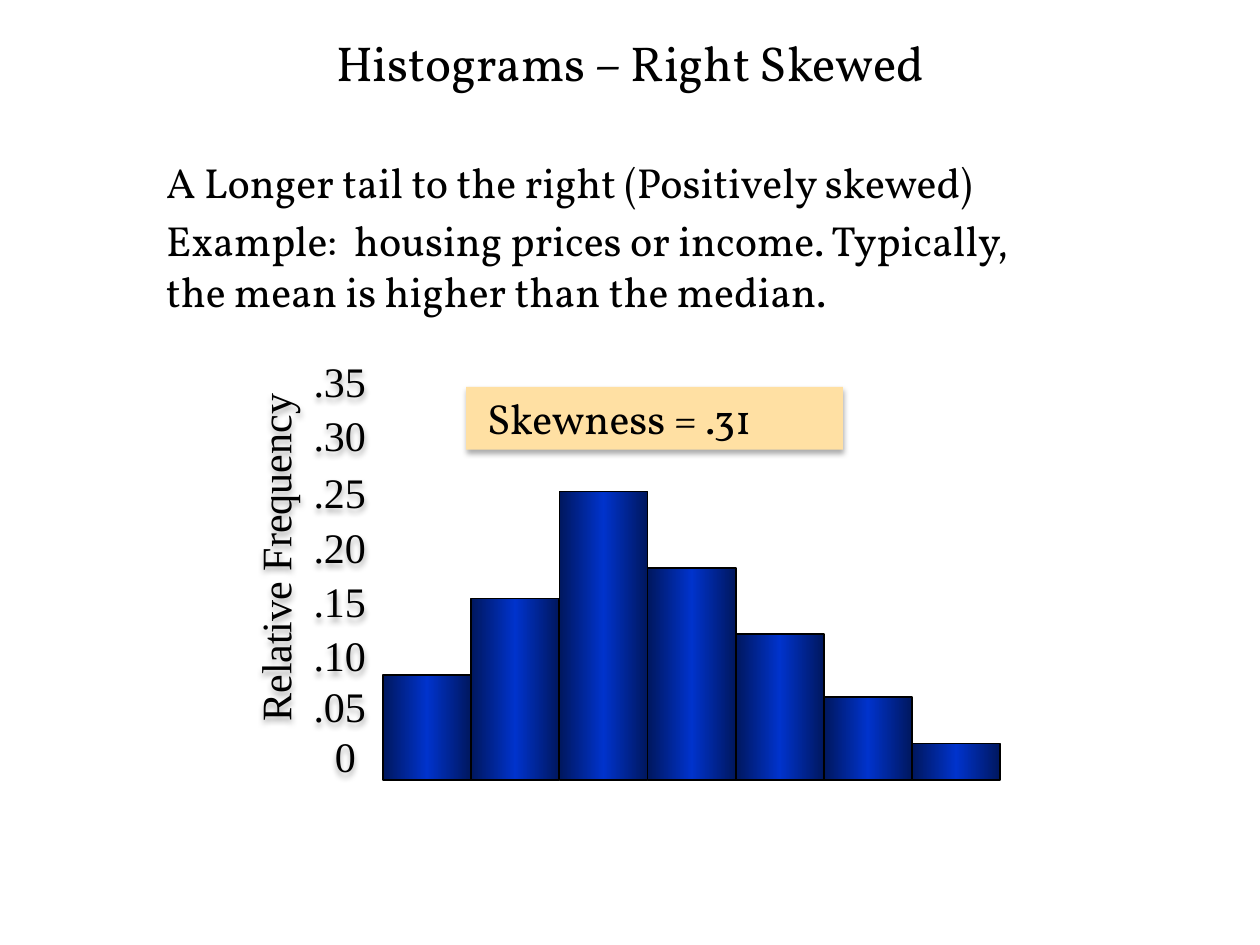
from copy import deepcopy
from lxml import etree
from pptx import Presentation
from pptx.dml.color import RGBColor
from pptx.enum.shapes import MSO_SHAPE
from pptx.enum.text import MSO_ANCHOR, PP_ALIGN
from pptx.oxml.ns import qn
from pptx.util import Inches, Pt

RECT = MSO_SHAPE.RECTANGLE
MID, TOP = MSO_ANCHOR.MIDDLE, MSO_ANCHOR.TOP
LEFT, MIDDLE = PP_ALIGN.LEFT, PP_ALIGN.CENTER
HUES = {"ink": "000000", "edge": "00175E", "core": "0033CC", "note": "FFE0A3"}
SERIF, BOOK = "Times New Roman", "Vollkorn"
BASE, FIRST, STEP = 6.19, 3.04, 0.7
BARS = [0.83, 1.44, 2.29, 1.68, 1.16, 0.66, 0.29]
TICKS = {".35": 2.82, ".30": 3.25, ".25": 3.7, ".20": 4.14,
         ".15": 4.57, ".10": 5, ".05": 5.4}


def hue(name):
    return RGBColor.from_string(HUES[name])


def place(shape, box):
    for key, val in zip(("left", "top", "width", "height"), box):
        setattr(shape, key, Inches(val))


def write(shape, lines, face, size=24, align=LEFT, anchor=MID, wrap=True):
    frame = shape.text_frame
    frame.text = "\n".join(lines)
    for key, val in {"word_wrap": wrap, "vertical_anchor": anchor}.items():
        setattr(frame, key, val)
    for para in frame.paragraphs:
        para.alignment = align
        font = para.runs[0].font
        for key, val in {"name": face, "size": Pt(size)}.items():
            setattr(font, key, val)
        font.color.rgb = hue("ink")


def shade(shape, blur, dist, alpha):
    effects = etree.SubElement(shape._element.spPr, qn("a:effectLst"))
    cast = etree.SubElement(effects, qn("a:outerShdw"), blurRad=str(Pt(blur)),
                            dist=str(Pt(dist)), dir="5400000", rotWithShape="0")
    tint = etree.SubElement(cast, qn("a:srgbClr"), val=HUES["ink"])
    etree.SubElement(tint, qn("a:alpha"), val=str(alpha * 1000))


def add_title(slide, words):
    title = slide.shapes.title
    place(title, (0.75, 0.05, 8.5, 0.89))
    write(title, [words], BOOK, 28, MIDDLE)


def add_body(slide, lines):
    body = slide.shapes.add_textbox(0, 0, 0, 0)
    place(body, (0.72, 1.19, 7.8, 1.02))
    write(body, lines, BOOK, anchor=TOP)
    for para in body.text_frame.paragraphs:
        para.space_before = Pt(4.8)
        props = para._p.get_or_add_pPr()
        props.set("marL", str(Inches(0.5)))
        props.set("indent", "0")


def add_label(slide, words, box, turn=0):
    label = slide.shapes.add_textbox(0, 0, 0, 0)
    place(label, box)
    label.rotation = turn
    write(label, [words], SERIF, wrap=False)
    label.text_frame.margin_right = 0
    shade(label, 3.5, 2.2, 32)


def add_bar(slide, col, tall):
    bar = slide.shapes.add_shape(RECT, 0, 0, 0, 0)
    place(bar, (FIRST + col * STEP, BASE - tall, STEP, tall))
    bar.shadow.inherit = False
    bar.line.color.rgb = hue("ink")
    bar.line.width = Pt(1)
    bar.fill.gradient()
    bar.fill.gradient_angle = 0
    stops = bar._element.spPr.find(".//" + qn("a:gsLst"))
    stops.append(deepcopy(stops[0]))
    for stop, spot, name in zip(bar.fill.gradient_stops, (0, 0.5, 1),
                                ("edge", "core", "edge")):
        stop.position = spot
        stop.color.rgb = hue(name)


def add_note(slide, words):
    note = slide.shapes.add_shape(RECT, 0, 0, 0, 0)
    place(note, (3.7, 3.07, 2.99, 0.5))
    note.fill.solid()
    note.fill.fore_color.rgb = hue("note")
    note.line.fill.background()
    write(note, [words], BOOK, anchor=TOP)
    shade(note, 3.5, 2.2, 32)


def main():
    deck = Presentation()
    deck.slide_width, deck.slide_height = Inches(10), Inches(7.5)
    slide = deck.slides.add_slide(deck.slide_layouts[5])
    add_title(slide, "Histograms – Right Skewed")
    add_label(slide, "Relative Frequency", (0.83, 4.26, 2.7, 0.43), 270)
    for words, top in TICKS.items():
        add_label(slide, words, (2.39, top, 0.54, 0.4))
    add_label(slide, "0", (2.56, 5.8, 0.32, 0.4))
    for col, tall in enumerate(BARS):
        add_bar(slide, col, tall)
    add_body(slide, [
        "A Longer tail to the right (Positively skewed)",
        "Example:  housing prices or income. Typically, "
        "the mean is higher than the median."])
    add_note(slide, " Skewness = .31")
    deck.save("out.pptx")


if __name__ == "__main__":
    main()
